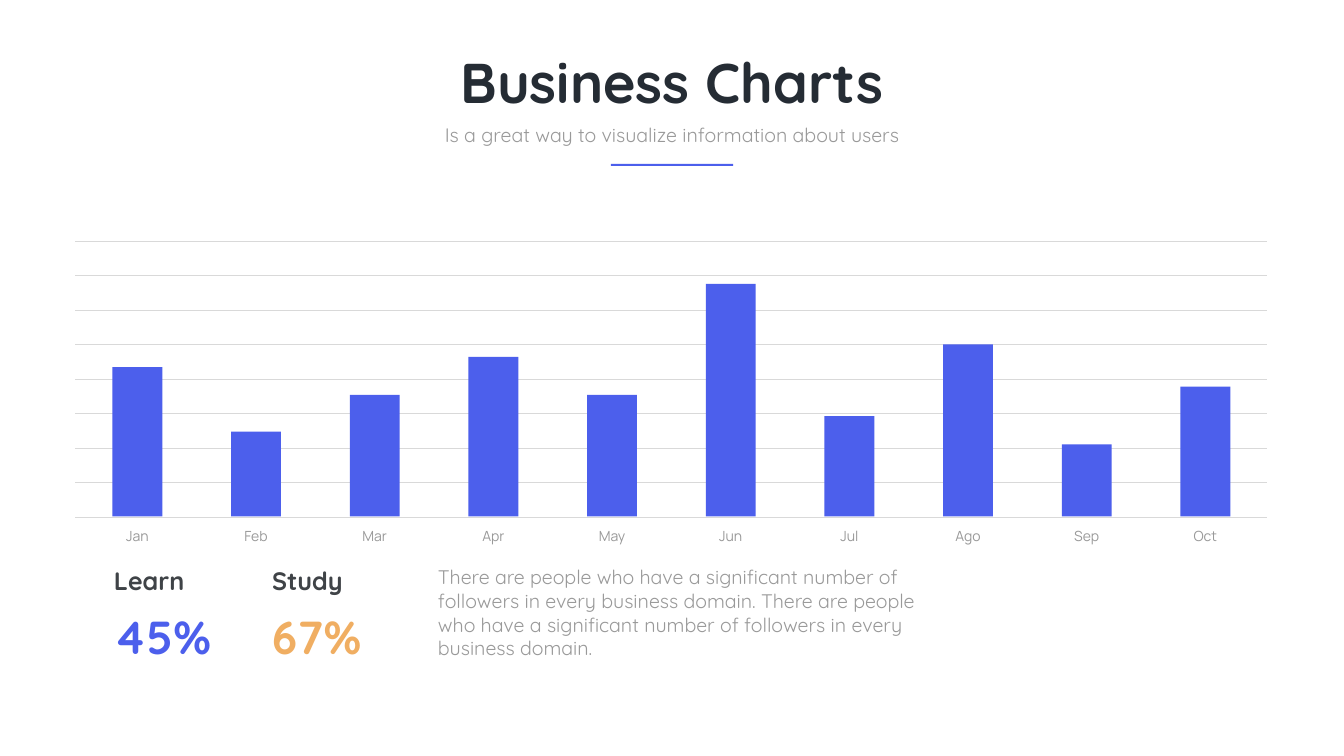
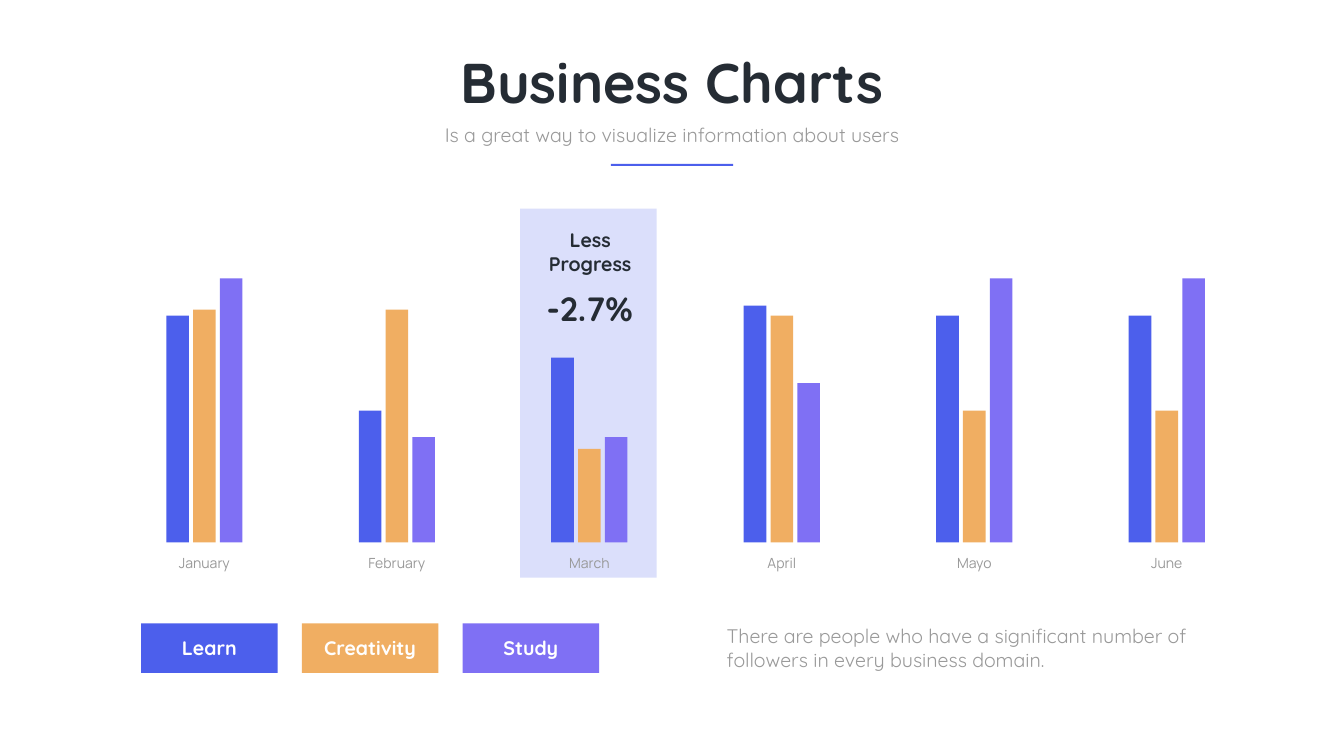
from dataclasses import dataclass

from lxml.etree import SubElement
from pptx import Presentation
from pptx.dml.color import RGBColor
from pptx.enum.shapes import MSO_CONNECTOR, MSO_SHAPE
from pptx.enum.text import MSO_ANCHOR, MSO_AUTO_SIZE, PP_ALIGN
from pptx.oxml.ns import qn
from pptx.util import Cm, Pt


@dataclass(frozen=True)
class Theme:
    head_font: str = "Quicksand"
    label_font: str = "Manrope"
    blue: str = "4C5FEC"
    orange: str = "F0AE62"
    violet: str = "7F70F4"
    pale: str = "DBDFFB"
    dark: str = "252C34"
    slate: str = "3F4347"
    grey: str = "999999"
    grid: str = "D9D9D9"
    white: str = "FFFFFF"
    title: int = 80
    stat: int = 66
    figure: int = 48
    stat_label: int = 36
    body: int = 28
    axis: int = 20


T = Theme()


def add_text(s, x, y, w, h, text, size, color, bold=False, font=T.head_font,
             align=PP_ALIGN.LEFT, spacing=None, middle=False):
    """Add a one-paragraph text box; middle gives centred anchor and thin insets."""
    tf = s.shapes.add_textbox(Cm(x), Cm(y), Cm(w), Cm(h)).text_frame
    tf.word_wrap = True
    tf.auto_size = MSO_AUTO_SIZE.SHAPE_TO_FIT_TEXT
    if middle:
        tf.vertical_anchor = MSO_ANCHOR.MIDDLE
        tf.margin_left = tf.margin_right = tf.margin_top = tf.margin_bottom = Cm(0.15)
    p = tf.paragraphs[0]
    p.alignment = align
    p.line_spacing = spacing
    r = p.add_run()
    r.text = text
    r.font.name, r.font.size, r.font.bold = font, Pt(size), bold
    r.font.color.rgb = RGBColor.from_string(color)


def add_box(s, x, y, w, h, color):
    """Add a flat rectangle without outline."""
    sp = s.shapes.add_shape(MSO_SHAPE.RECTANGLE, Cm(x), Cm(y), Cm(w), Cm(h))
    sp.shadow.inherit = False
    sp.fill.solid()
    sp.fill.fore_color.rgb = RGBColor.from_string(color)
    sp.line.fill.background()
    return sp


prs = Presentation()
prs.slide_width, prs.slide_height = Cm(67.73), Cm(38.1)
bars, groups = [prs.slides.add_slide(prs.slide_layouts[6]) for _ in range(2)]

center = PP_ALIGN.CENTER
axis_style = dict(size=T.axis, color=T.grey, font=T.label_font,
                  align=center, spacing=Pt(35.6))

# Shared header
for s in (bars, groups):
    add_text(s, 17.48, 2.29, 32.79, 3.68, "Business Charts", T.title, T.dark,
             bold=True, align=center)
    add_text(s, 21.72, 6.05, 24.28, 1.45,
             "Is a great way to visualize information about users",
             T.body, T.grey, align=center)
    add_box(s, 30.78, 8.26, 6.17, 0.1, T.blue)

# Slide 1: grid lines
for i in range(9):
    y = Cm(12.14 + i * 1.74)
    line = bars.shapes.add_connector(MSO_CONNECTOR.STRAIGHT, Cm(3.78), y, Cm(63.86), y)
    line.line.color.rgb = RGBColor.from_string(T.grid)
    line.line.width = Pt(1)
    SubElement(line._element.spPr, qn("a:effectLst"))

# Slide 1: monthly bars
month_heights = {"Jan": 7.52, "Feb": 4.27, "Mar": 6.12, "Apr": 8.03, "May": 6.12,
                 "Jun": 11.71, "Jul": 5.05, "Ago": 8.66, "Sep": 3.63, "Oct": 6.53}
base, bar_w, label_w = 26.02, 2.51, 3.35
for i, (month, h) in enumerate(month_heights.items()):
    x = 5.67 + i * 5.98
    add_box(bars, x, base - h, bar_w, h, T.blue)
    add_text(bars, x + (bar_w - label_w) / 2, 26.04, label_w, 1.42, month, **axis_style)

# Slide 1: key figures and description
for x, label, value, color in ((5.59, "Learn", "45%", T.blue),
                               (13.56, "Study", "67%", T.orange)):
    add_text(bars, x, 28.78, 9.8, 1.37, label, T.stat_label, T.slate,
             bold=True, spacing=0.7, middle=True)
    add_text(bars, x, 30.51, 9.8, 3.1, value, T.stat, color, bold=True, middle=True)

sentence = "There are people who have a significant number of followers in every business domain."
add_text(bars, 21.82, 28.37, 25.02, 5.05, f"{sentence} {sentence}", T.body, T.grey)

# Slide 2: highlighted month
add_box(groups, 26.21, 10.52, 6.88, 18.59, T.pale)
add_text(groups, 26.97, 11.38, 5.54, 2.64, "Less Progress", T.body, T.dark,
         bold=True, align=center)
add_text(groups, 24.87, 14.38, 9.7, 2.34, "-2.7%", T.figure, T.dark,
         bold=True, align=center, middle=True)

# Slide 2: grouped bars
series = (("Learn", T.blue), ("Creativity", T.orange), ("Study", T.violet))
group_heights = {"January": (11.43, 11.73, 13.31), "February": (6.65, 11.73, 5.31),
                 "March": (9.32, 4.72, 5.31), "April": (11.94, 11.43, 8.03),
                 "Mayo": (11.43, 6.65, 13.31), "June": (11.43, 6.65, 13.31)}
base, bar_w, bar_step, label_w = 27.34, 1.14, 1.35, 4.27
group_w = 2 * bar_step + bar_w
for i, (month, heights) in enumerate(group_heights.items()):
    x = 8.38 + i * 9.7
    for j, h in enumerate(heights):
        add_box(groups, x + j * bar_step, base - h, bar_w, h, series[j][1])
    add_text(groups, x + (group_w - label_w) / 2, 27.43, label_w, 1.42, month, **axis_style)

# Slide 2: legend and description
for i, (name, color) in enumerate(series):
    sp = add_box(groups, 7.11 + i * 8.1, 31.42, 6.88, 2.49, color)
    tf = sp.text_frame
    tf.vertical_anchor = MSO_ANCHOR.MIDDLE
    p = tf.paragraphs[0]
    p.alignment = center
    r = p.add_run()
    r.text = name
    r.font.name, r.font.size, r.font.bold = T.head_font, Pt(T.body), True
    r.font.color.rgb = RGBColor.from_string(T.white)

add_text(groups, 36.37, 31.34, 25.83, 2.64, sentence, T.body, T.grey)

prs.save("out.pptx")
